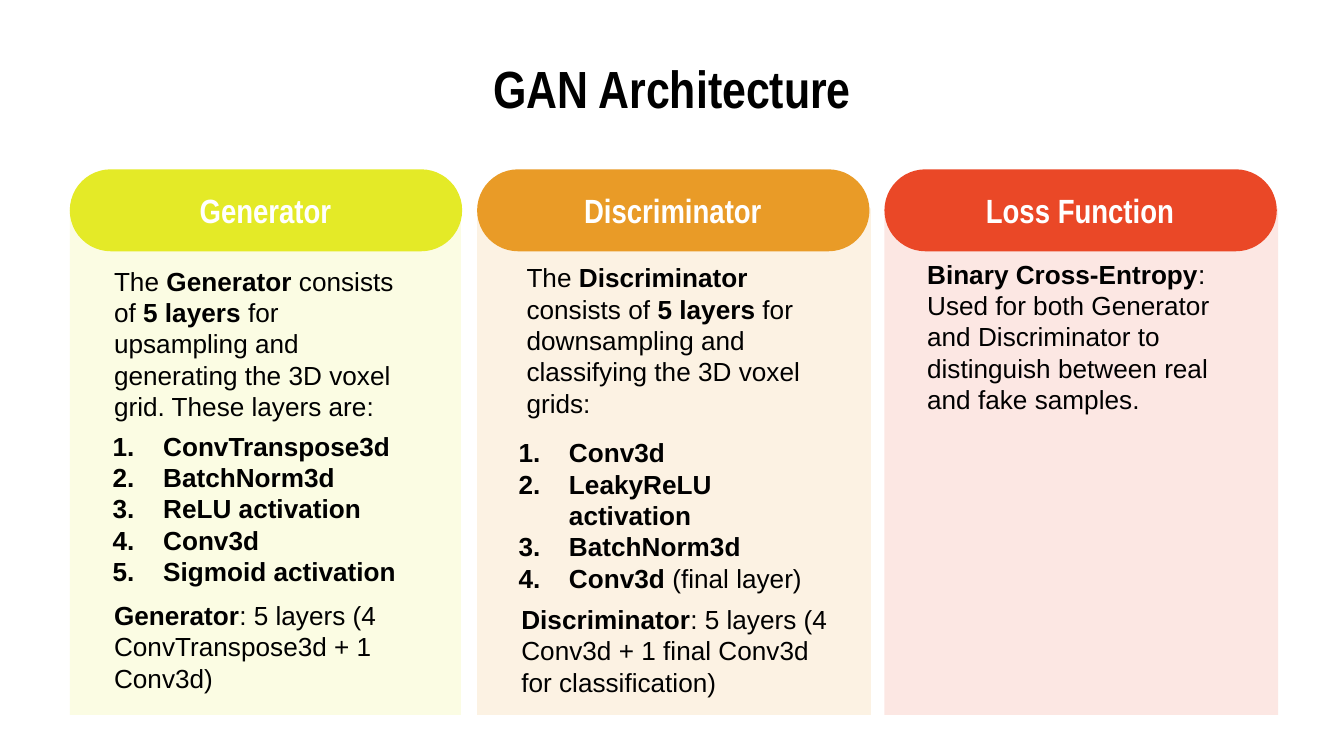
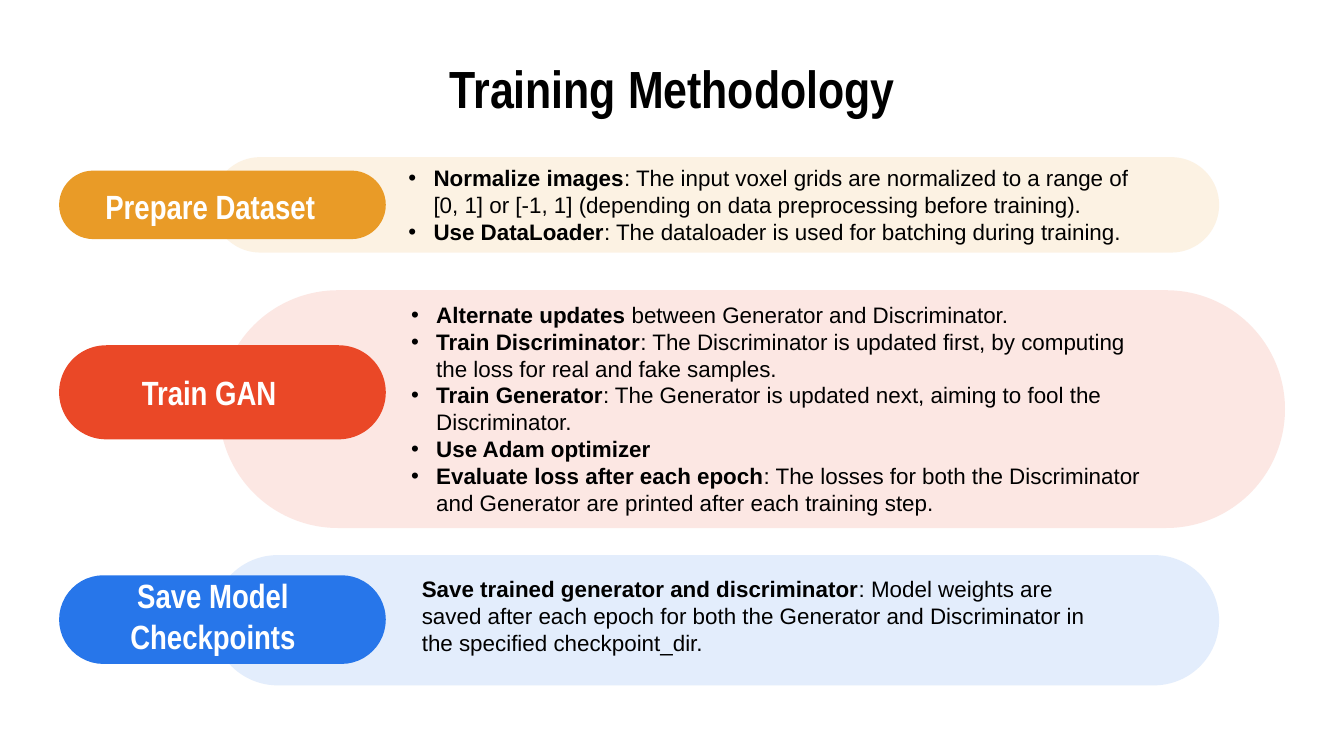
from dataclasses import dataclass

from lxml import etree
from pptx import Presentation
from pptx.dml.color import RGBColor
from pptx.enum.shapes import MSO_SHAPE
from pptx.enum.text import MSO_ANCHOR, PP_ALIGN
from pptx.oxml.ns import qn
from pptx.util import Pt

RECTANGLE = MSO_SHAPE.RECTANGLE
ROUNDED = MSO_SHAPE.ROUNDED_RECTANGLE
TOP, MIDDLE = MSO_ANCHOR.TOP, MSO_ANCHOR.MIDDLE
LEFT, CENTER = PP_ALIGN.LEFT, PP_ALIGN.CENTER


@dataclass(frozen=True)
class Theme:
    yellow: str = "E4EA27"
    orange: str = "E99B27"
    red: str = "EA4827"
    blue: str = "2776EA"
    black: str = "000000"
    white: str = "FFFFFF"
    tint: int = 13
    heading_font: str = "Arial Narrow"
    body_font: str = "Arial"
    title_size: int = 28
    label_size: int = 18
    column_size: int = 14
    row_size: int = 12
    inset: float = 7.2


theme = Theme()
TITLE_BOX = (36, 32.4, 648, 29.5)
TITLE_STYLE = dict(size=theme.title_size, font=theme.heading_font, align=CENTER)
LABEL_STYLE = dict(size=theme.label_size, font=theme.heading_font,
                   color=theme.white, align=CENTER)


def add_block(slide, kind, box, color, opacity=100):
    shape = slide.shapes.add_shape(kind, *(Pt(value) for value in box))
    shape.shadow.inherit = False
    shape.fill.solid()
    shape.fill.fore_color.rgb = RGBColor.from_string(color)
    shape.line.fill.background()
    if kind == ROUNDED:
        shape.adjustments[0] = 0.5
    if opacity < 100:
        fill_color = shape._element.spPr.find(".//" + qn("a:srgbClr"))
        etree.SubElement(fill_color, qn("a:alpha"), val=str(opacity * 1000))


def add_text(slide, box, lines, size, font=theme.body_font, color=theme.black,
             align=LEFT, anchor=MIDDLE, inset=theme.inset, bullet=None, indent=0):
    """Write one paragraph a line; ** switches bold on and off."""
    shape = slide.shapes.add_textbox(*(Pt(value) for value in box))
    text_frame = shape.text_frame
    text_frame.word_wrap = True
    text_frame.vertical_anchor = anchor
    text_frame.margin_left = text_frame.margin_right = Pt(theme.inset)
    text_frame.margin_top = text_frame.margin_bottom = Pt(inset)
    for index, line in enumerate(lines):
        paragraph = text_frame.add_paragraph() if index else text_frame.paragraphs[0]
        paragraph.alignment = align
        if bullet:
            properties = paragraph._p.get_or_add_pPr()
            properties.set("marL", str(Pt(indent)))
            properties.set("indent", str(-Pt(indent)))
            bullet_color = etree.SubElement(properties, qn("a:buClr"))
            etree.SubElement(bullet_color, qn("a:srgbClr"), val=theme.black)
            etree.SubElement(properties, qn("a:buFont"), typeface=theme.body_font)
            if bullet == "1.":
                etree.SubElement(properties, qn("a:buAutoNum"), type="arabicPeriod")
            else:
                etree.SubElement(properties, qn("a:buChar"), char=bullet)
        for part, words in enumerate(line.split("**")):
            if words:
                run = paragraph.add_run()
                run.text = words
                run.font.name = font
                run.font.size = Pt(size)
                run.font.bold = part % 2 == 1
                run.font.color.rgb = RGBColor.from_string(color)


presentation = Presentation()
presentation.slide_width, presentation.slide_height = Pt(720), Pt(405)
blank = presentation.slide_layouts[6]

# Slide 1: three columns
slide = presentation.slides.add_slide(blank)
add_text(slide, TITLE_BOX, ["**GAN Architecture**"], **TITLE_STYLE)

columns = [("Generator", theme.yellow, 209.5), ("Discriminator", theme.orange, 211),
           ("Loss Function", theme.red, 211)]
for number, (label, color, width) in enumerate(columns):
    left = 37.4 + 218.2 * number
    add_block(slide, RECTANGLE, (left, 111.6, width, 271.4), color, theme.tint)
    add_block(slide, ROUNDED, (left, 90.7, 210.2, 43.9), color)
    add_text(slide, (left + 16.6, 99.4, 176.4, 25.9), [f"**{label}**"], **LABEL_STYLE)

# Column introductions
introductions = [
    ((54, 164.2, 169.2, 39.6), MIDDLE,
     "The **Generator** consists of **5 layers** for upsampling and generating "
     "the 3D voxel grid. These layers are:"),
    ((275, 169.2, 166.3, 25.9), MIDDLE,
     "The **Discriminator** consists of **5 layers** for downsampling and "
     "classifying the 3D voxel grids:"),
    ((489.6, 131, 176.4, 89.3), TOP,
     "**Binary Cross-Entropy**: Used for both Generator and Discriminator to "
     "distinguish between real and fake samples."),
]
for box, anchor, words in introductions:
    add_text(slide, box, [words], theme.column_size, anchor=anchor)

# Numbered layers
layer_lists = [
    ((53.3, 223.2, 174.2, 150.5),
     ["**ConvTranspose3d**", "**BatchNorm3d**", "**ReLU activation**",
      "**Conv3d**", "**Sigmoid activation**"]),
    ((270.7, 226.8, 176.4, 89.3),
     ["**Conv3d**", "**LeakyReLU activation**", "**BatchNorm3d**",
      "**Conv3d **(final layer)"]),
]
for box, layers in layer_lists:
    add_text(slide, box, layers, theme.column_size, anchor=TOP, bullet="1.", indent=27)

# Layer totals
totals = [
    ((54, 317.5, 171.4, 58.3),
     "**Generator**: 5 layers (4 ConvTranspose3d + 1 Conv3d)"),
    ((272.2, 319.7, 180.7, 58.3),
     "**Discriminator**: 5 layers (4 Conv3d + 1 final Conv3d for classification)"),
]
for box, words in totals:
    add_text(slide, box, [words], theme.column_size, anchor=TOP, inset=3.6)

# Slide 2: three steps, each a pale band with a label pill on its left
slide = presentation.slides.add_slide(blank)
add_text(slide, TITLE_BOX, ["**Training Methodology**"], **TITLE_STYLE)

steps = [
    ("Prepare Dataset", theme.orange, (113.8, 84.2, 539.3, 51.1), (91.4, 36.7),
     (43.9, 97.2, 137.5, 25.9), (211.7, 96.5, 414.7, 26.6), "•",
     ["**Normalize images**: The input voxel grids are normalized to a range of "
      "[0, 1] or [-1, 1] (depending on data preprocessing before training).",
      "**Use DataLoader**: The dataloader is used for batching during training."]),
    ("Train GAN", theme.red, (117.4, 155.5, 571, 127.4), (185, 50.4),
     (41.8, 197.3, 140.4, 25.9), (213.1, 205.9, 414, 25.9), "•",
     ["**Alternate updates** between Generator and Discriminator.",
      "**Train Discriminator**: The Discriminator is updated first, by computing "
      "the loss for real and fake samples.",
      "**Train Generator**: The Generator is updated next, aiming to fool the "
      "Discriminator.",
      "**Use Adam optimizer**",
      "**Evaluate loss after each epoch**: The losses for both the Discriminator "
      "and Generator are printed after each training step."]),
    ("Save Model Checkpoints", theme.blue, (113.8, 297.4, 539.3, 69.8), (308.2, 47.5),
     (43.9, 316.8, 140.4, 25.9), (218.9, 316.8, 373, 25.9), None,
     ["**Save trained generator and discriminator**: Model weights are saved after "
      "each epoch for both the Generator and Discriminator in the specified "
      "checkpoint_dir."]),
]
for label, color, band, (top, height), label_box, text_box, bullet, lines in steps:
    add_block(slide, ROUNDED, band, color, theme.tint)
    add_block(slide, ROUNDED, (31.7, top, 175, height), color)
    add_text(slide, text_box, lines, theme.row_size, bullet=bullet, indent=13.5)
    add_text(slide, label_box, [f"**{label}**"], **LABEL_STYLE)

presentation.save("out.pptx")
